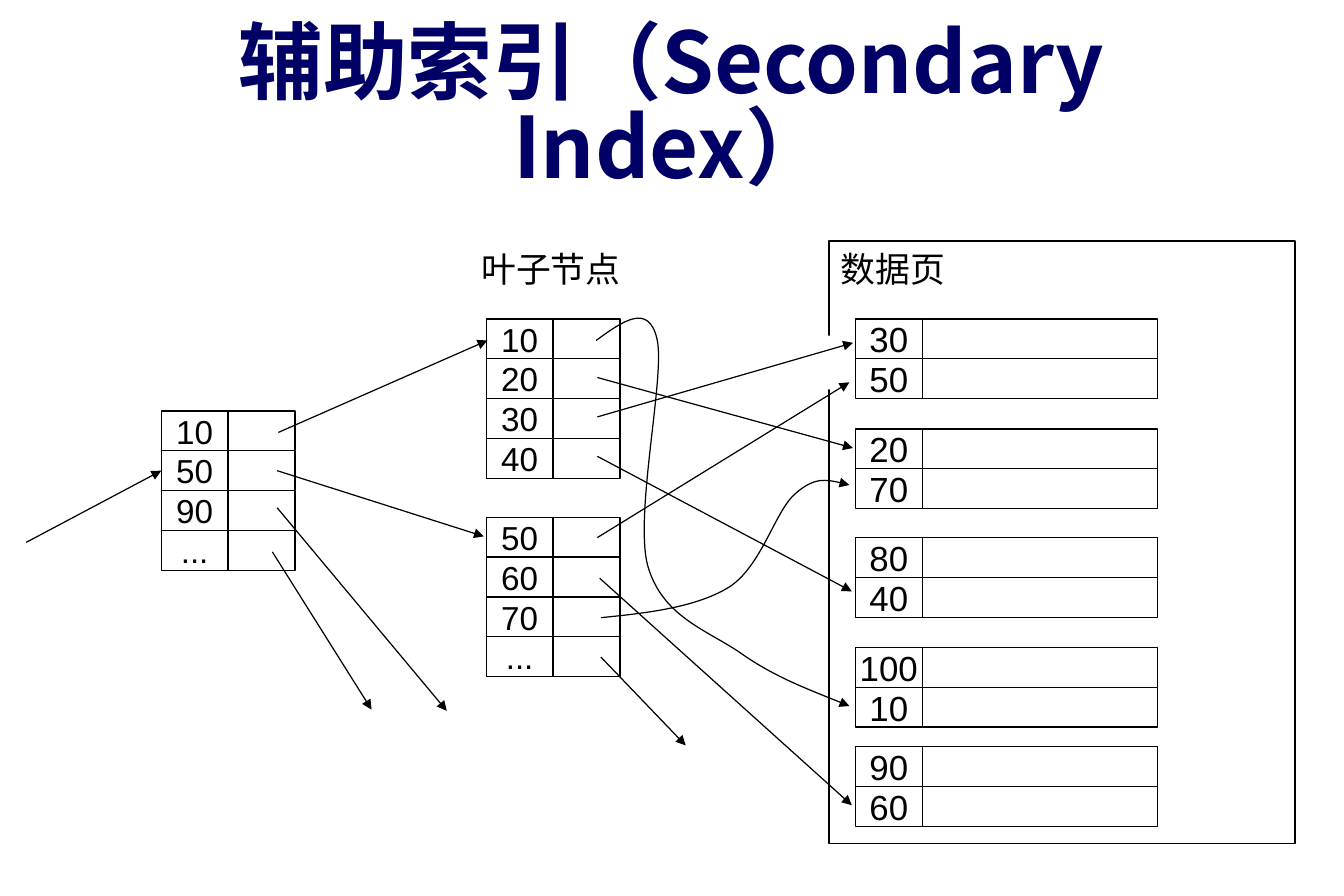
from dataclasses import dataclass
from pptx import Presentation
from pptx.dml.color import RGBColor
from pptx.enum.shapes import MSO_CONNECTOR as Connector, MSO_SHAPE as Shape
from pptx.enum.text import MSO_ANCHOR as Anchor, MSO_AUTO_SIZE as AutoSize, PP_ALIGN as Align
from pptx.oxml.ns import qn
from pptx.util import Inches, Pt
from lxml.etree import SubElement


@dataclass(frozen=True)
class Theme:
    ink: RGBColor = RGBColor(0, 0, 0)
    paper: RGBColor = RGBColor(255, 255, 255)
    heading: RGBColor = RGBColor(0, 0, 0x66)
    body_font: str = "Arial"
    title_font: str = "Noto Sans CJK SC"
    title_size: int = 51
    label_size: int = 21
    node_size: int = 20
    thin: float = 0.75
    frame: float = 1


THEME = Theme()
ROW = 1 / 3
KEY_WIDTH = 0.56
POINTER_WIDTH = 0.56
RECORD_WIDTH = 1.97

# Index nodes: left, top, keys
NODES = [
    (1.35, 3.44, ["10", "50", "90", "..."]),
    (4.07, 2.67, ["10", "20", "30", "40"]),
    (4.07, 4.33, ["50", "60", "70", "..."]),
]
# Data pages: top, keys
PAGES_LEFT = 7.16
PAGES = [
    (2.67, ["30", "50"]),
    (3.59, ["20", "70"]),
    (4.5, ["80", "40"]),
    (5.42, ["100", "10"]),
    (6.25, ["90", "60"]),
]
# Straight pointers: start, end
POINTERS = [
    ((0.22, 4.54), (1.35, 3.94)),
    ((2.33, 3.62), (4.08, 2.85)),
    ((2.32, 3.94), (4.05, 4.49)),
    ((2.32, 4.25), (3.74, 5.95)),
    ((2.28, 4.62), (3.11, 5.94)),
    ((5, 3.16), (7.14, 3.75)),
    ((5, 3.49), (7.14, 2.87)),
    ((5, 3.82), (7.13, 4.95)),
    ((5, 4.5), (7.11, 3.2)),
    ((5.02, 4.84), (7.13, 6.74)),
    ((5.03, 5.5), (5.74, 6.24)),
]
# Curved pointers: start, then two controls and an end for each segment
CURVES = [
    [(4.99, 2.85), (5.21, 2.69), (5.43, 2.53), (5.5, 2.84),
     (5.57, 3.15), (5.31, 4.29), (5.42, 4.73),
     (5.54, 5.16), (5.91, 5.27), (6.19, 5.46),
     (6.47, 5.66), (6.79, 5.78), (7.11, 5.91)],
    [(5.03, 5.17), (5.44, 5.13), (5.84, 5.08), (6.11, 4.91),
     (6.38, 4.73), (6.49, 4.27), (6.66, 4.13),
     (6.82, 3.99), (6.97, 4.02), (7.11, 4.06)],
]


def set_all(target, values):
    for name, value in values.items():
        setattr(target, name, value)


def write(frame, text, size, align=Align.LEFT, **frame_format):
    set_all(frame, frame_format)
    para = frame.paragraphs[0]
    para.alignment = align
    span = para.add_run()
    span.text = text
    set_all(span.font, {"name": THEME.body_font, "size": Pt(size), "bold": False})
    span.font.color.rgb = THEME.ink
    return span


def add_box(page, left, top, width, height, line=None):
    box = page.shapes.add_shape(
        Shape.RECTANGLE, Inches(left), Inches(top), Inches(width), Inches(height))
    box.shadow.inherit = False
    box.fill.solid()
    box.fill.fore_color.rgb = THEME.paper
    if line:
        box.line.color.rgb = THEME.ink
        box.line.width = Pt(line)
    else:
        box.line.fill.background()
    return box


def add_rows(page, left, top, keys, side_width, size):
    for number, key in enumerate(keys):
        row_top = top + number * ROW
        box = add_box(page, left, row_top, KEY_WIDTH, ROW, THEME.thin)
        write(box.text_frame, key, size, Align.CENTER,
              vertical_anchor=Anchor.MIDDLE, word_wrap=False)
        add_box(page, left + KEY_WIDTH, row_top, side_width, ROW, THEME.thin)


def finish_arrow(arrow):
    arrow.line.color.rgb = THEME.ink
    arrow.line.width = Pt(THEME.thin)
    SubElement(arrow.line._get_or_add_ln(), qn("a:tailEnd"), type="triangle")


def add_pointer(page, start, end):
    arrow = page.shapes.add_connector(
        Connector.STRAIGHT, *(Inches(value) for value in (*start, *end)))
    finish_arrow(arrow)
    SubElement(arrow._element.spPr, qn("a:effectLst"))


def add_curve(page, points):
    start, *rest = [(Inches(x), Inches(y)) for x, y in points]
    builder = page.shapes.build_freeform(*start)
    builder.add_line_segments(rest, close=False)
    curve = builder.convert_to_shape()
    curve.shadow.inherit = False
    curve.fill.background()
    finish_arrow(curve)
    # Join every three line points into one Bezier segment
    lines = list(curve._element.iter(qn("a:lnTo")))
    outline = lines[0].getparent()
    for first in range(0, len(lines), 3):
        segment = SubElement(outline, qn("a:cubicBezTo"))
        for line in lines[first:first + 3]:
            segment.append(line[0])
            outline.remove(line)


def add_title(page, text):
    title = page.shapes.title
    set_all(title, {"left": Inches(0.56), "top": Inches(0.3),
                    "width": Inches(10.12), "height": Inches(1.25)})
    span = write(title.text_frame, text, THEME.title_size, Align.CENTER,
                 vertical_anchor=Anchor.MIDDLE, word_wrap=True, auto_size=AutoSize.NONE,
                 margin_left=Inches(0.18), margin_right=Inches(0.18),
                 margin_top=Inches(0.09), margin_bottom=Inches(0.09))
    title.text_frame.paragraphs[0].line_spacing = 0.84
    set_all(span.font, {"name": THEME.title_font, "bold": True})
    span.font.color.rgb = THEME.heading
    SubElement(span.font._element, qn("a:ea"), typeface=THEME.title_font)


def main():
    deck = Presentation()
    set_all(deck, {"slide_width": Inches(11.25), "slide_height": Inches(7.5)})
    page = deck.slides.add_slide(deck.slide_layouts[5])
    add_title(page, "辅助索引（Secondary Index）")

    # Data page panel, with a gap in its left border
    panel = add_box(page, 6.94, 2.02, 3.9, 5.04, THEME.frame)
    write(panel.text_frame, "数据页", THEME.label_size,
          vertical_anchor=Anchor.TOP, word_wrap=True)
    add_box(page, 1.02, 2.81, 8.44, 0.45)

    # Data pages and index nodes
    for top, keys in PAGES:
        add_rows(page, PAGES_LEFT, top, keys, RECORD_WIDTH, THEME.label_size)
    for left, top, keys in NODES:
        add_rows(page, left, top, keys, POINTER_WIDTH, THEME.node_size)

    # Leaf label
    label = page.shapes.add_textbox(Inches(3.93), Inches(2.02), Inches(1.38), Inches(0.45))
    write(label.text_frame, "叶子节点", THEME.label_size,
          word_wrap=False, auto_size=AutoSize.SHAPE_TO_FIT_TEXT)

    # Pointers
    for start, end in POINTERS:
        add_pointer(page, start, end)
    for points in CURVES:
        add_curve(page, points)

    deck.save("out.pptx")


if __name__ == "__main__":
    main()
